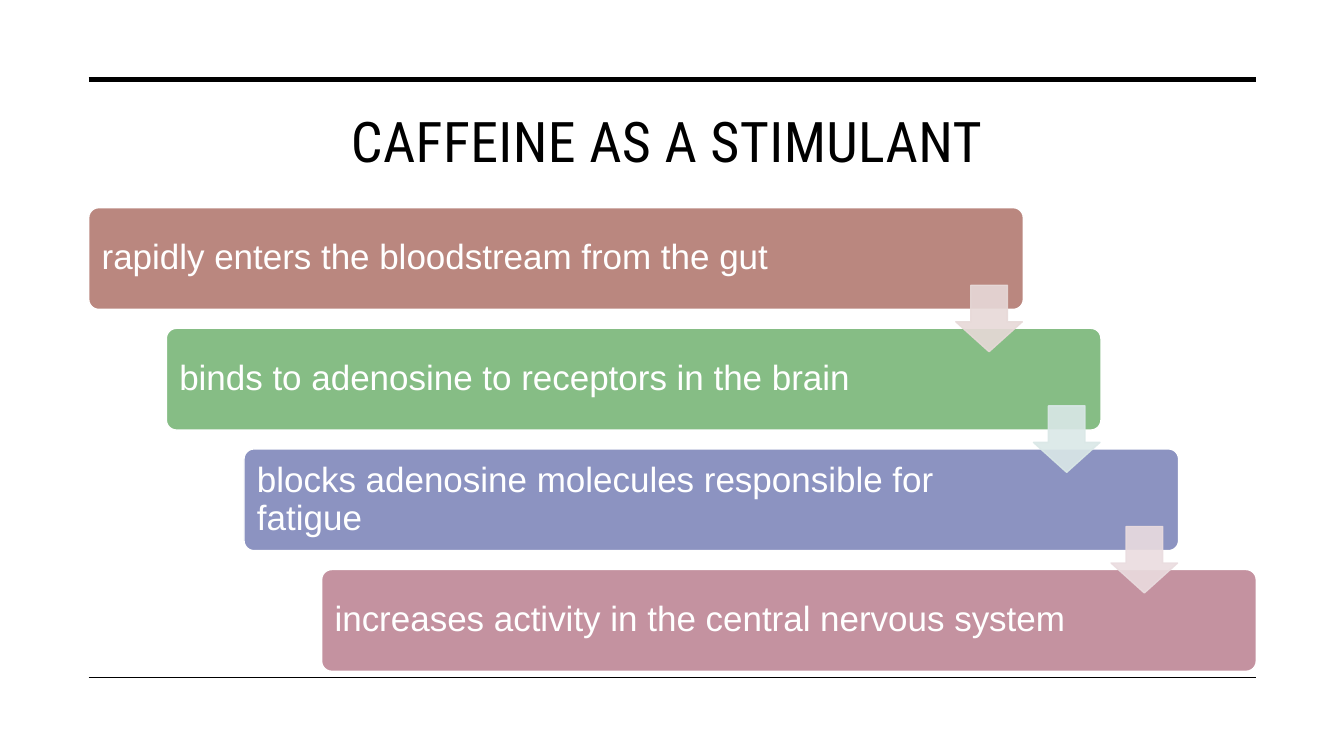
from pptx import Presentation
from pptx.dml.color import RGBColor
from pptx.enum.shapes import MSO_CONNECTOR as Connector, MSO_SHAPE as Preset
from pptx.enum.text import MSO_ANCHOR as Anchor, PP_ALIGN as Align
from pptx.oxml.ns import qn
from pptx.oxml.xmlchemy import OxmlElement
from pptx.util import Inches, Pt

STEPS = [
    ("rapidly enters the bloodstream from the gut", "BA877F", 8.09),
    ("binds to adenosine to receptors in the brain", "86BD85", 7.77),
    ("blocks adenosine molecules responsible for fatigue", "8C93C1", 7.78),
    ("increases activity in the central nervous system", "C492A0", 7.77),
]
ARROW_COLORS = ["E7D9D8", "DAE8E7", "EADCDF"]
BAR_WIDTH, BAR_HEIGHT = 9.27, 1.01
ARROW_SIZE = 0.66


def rgb(color):
    return RGBColor.from_string(color)


def add_rule(page, left, right, y, weight):
    rule = page.shapes.add_connector(
        Connector.STRAIGHT, Inches(left), Inches(y), Inches(right), Inches(y))
    rule.line.color.rgb = rgb("000000")
    rule.line.width = Pt(weight)
    rule.element.spPr.append(OxmlElement("a:effectLst"))


def add_preset(page, preset, box, adjustments, fill, outline):
    shape = page.shapes.add_shape(preset, *map(Inches, box))
    for index, value in enumerate(adjustments):
        shape.adjustments[index] = value
    shape.shadow.inherit = False
    shape.fill.solid()
    shape.fill.fore_color.rgb = rgb(fill)
    shape.line.color.rgb = rgb(outline)
    shape.line.width = Pt(1)
    return shape


def add_text(page, box, text, font, size, color, inset=0.1):
    """Add a wrapping text box and return its frame and only paragraph."""
    frame = page.shapes.add_textbox(*map(Inches, box)).text_frame
    frame.word_wrap = True
    frame.margin_left = frame.margin_right = Inches(0.1)
    frame.margin_top = frame.margin_bottom = Inches(inset)
    frame.text = text
    para = frame.paragraphs[0]
    span = para.runs[0]
    span.font.name = font
    span.font.size = Pt(size)
    span.font.color.rgb = rgb(color)
    return frame, para


def add_title(page, box, text):
    frame, para = add_text(page, box, text, "Roboto Condensed", 40, "000000", 0.05)
    frame.vertical_anchor = Anchor.TOP
    para.alignment = Align.CENTER
    para.runs[0].font._element.set("spc", "30")


def add_step(page, left, top, text, color, text_width):
    add_preset(page, Preset.ROUNDED_RECTANGLE, (left, top, BAR_WIDTH, BAR_HEIGHT),
               [0.1], color, "FFFFFF")
    pad = 0.03
    text_box = (left + pad, top + pad, text_width, BAR_HEIGHT - 2 * pad)
    frame, para = add_text(page, text_box, text, "Arial", 25, "FFFFFF")
    frame.vertical_anchor = Anchor.MIDDLE
    para.line_spacing = 0.9


def add_arrow(page, left, top, color):
    """Add a slightly transparent arrow pointing to the next step."""
    arrow = add_preset(page, Preset.DOWN_ARROW, (left, top, ARROW_SIZE, ARROW_SIZE),
                       [0.55, 0.45], color, color)
    for paint in arrow.element.spPr.iter(qn("a:srgbClr")):
        alpha = OxmlElement("a:alpha")
        alpha.set("val", "90000")
        paint.append(alpha)


def add_staircase(page, left, top, width, height):
    """Place the steps from the top left to the bottom right of the box."""
    gaps = len(STEPS) - 1
    shift = (width - BAR_WIDTH) / gaps
    drop = (height - BAR_HEIGHT) / gaps
    for index, (text, color, text_width) in enumerate(STEPS):
        add_step(page, left + index * shift, top + index * drop,
                 text, color, text_width)
    for index, color in enumerate(ARROW_COLORS):
        add_arrow(page, left + index * shift + 8.6, top + index * drop + 0.77, color)


def main():
    deck = Presentation()
    deck.slide_width, deck.slide_height = Inches(13.33), Inches(7.5)
    page = deck.slides.add_slide(deck.slide_layouts[6])
    add_rule(page, 0.88, 12.46, 0.79, 3.5)
    add_rule(page, 0.88, 12.46, 6.72, 1)
    add_title(page, (0.77, 1.01, 11.69, 1.5), "CAFFEINE AS A STIMULANT")
    add_staircase(page, 0.88, 2.06, 11.58, 4.6)
    deck.save("out.pptx")


if __name__ == "__main__":
    main()
